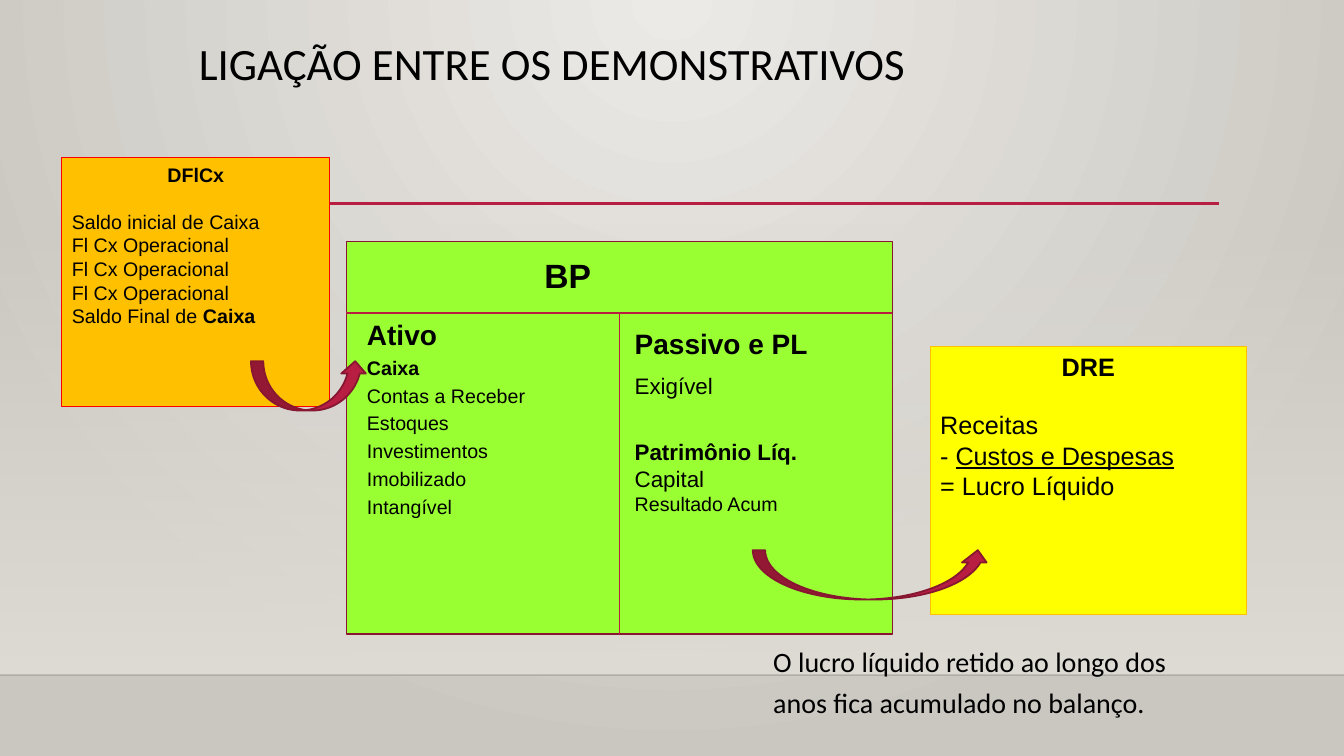
from pptx import Presentation
from pptx import util as u
from pptx.dml.color import RGBColor
from pptx.enum import shapes, text
from pptx.oxml import parse_xml
from pptx.oxml.ns import nsdecls

PX = 9525  # EMU per px, 96 px to the inch
CRIMSON = "B71E42"
BLACK = "000000"


def rgb(hex_colour):
    return RGBColor.from_string(hex_colour)


def set_alpha(colour_element, percent):
    colour_element.append(parse_xml(f'<a:alpha {nsdecls("a")} val="{percent * 1000}"/>'))


def line(words, size, bold=False, before=0, centre=False, tail="", tail_style=None):
    """One paragraph, optionally ending in a run with its own style."""
    return dict(words=words, size=size, bold=bold, before=before,
                centre=centre, tail=tail, tail_style=tail_style)


class SlideBuilder:
    def __init__(self, slide, font="Arial"):
        self.slide = slide
        self.font = font

    def background(self, inner, outer):
        fill = self.slide.background.fill
        fill.gradient()
        for stop, colour in zip(fill.gradient_stops, (inner, outer)):
            stop.color.rgb = rgb(colour)
        linear = self.slide.element.xpath("./p:cSld/p:bg//a:lin")[0]
        linear.getparent().replace(linear, parse_xml(
            f'<a:path {nsdecls("a")} path="circle">'
            '<a:fillToRect l="43000" t="0" r="43000" b="100000"/></a:path>'))

    def shape(self, kind, box, fill, outline=None, weight=1):
        shape = self.slide.shapes.add_shape(kind, *(v * PX for v in box))
        shape.shadow.inherit = False
        if fill:
            shape.fill.solid()
            shape.fill.fore_color.rgb = rgb(fill)
        if outline:
            shape.line.color.rgb = rgb(outline)
            shape.line.width = u.Pt(weight)
        else:
            shape.line.fill.background()
        return shape

    def rect(self, box, fill, outline=None, weight=1):
        return self.shape(shapes.MSO_SHAPE.RECTANGLE, box, fill, outline, weight)

    def fade(self, box, colour):
        area = self.rect(box, None)
        area.fill.gradient()
        area.fill.gradient_angle = 270
        for stop in area.fill.gradient_stops:
            stop.color.rgb = rgb(colour)
        set_alpha(area._element.xpath(".//a:gs/a:srgbClr")[0], 0)

    def rule(self, start, end, colour, weight, alpha=100):
        rule = self.slide.shapes.add_connector(
            shapes.MSO_CONNECTOR.STRAIGHT, *(v * PX for v in start + end))
        rule.line.color.rgb = rgb(colour)
        rule.line.width = u.Pt(weight)
        if alpha < 100:
            set_alpha(rule._element.xpath(".//a:ln//a:srgbClr")[0], alpha)
        rule._element.spPr.append(parse_xml(f'<a:effectLst {nsdecls("a")}/>'))
        return rule

    def arrow(self, box):
        self.shape(shapes.MSO_SHAPE.CURVED_UP_ARROW, box, CRIMSON, "871631", 1.25)

    def fill_text(self, shape, lines, font=None, spacing=None):
        frame = shape.text_frame
        frame.word_wrap = True
        frame.vertical_anchor = text.MSO_ANCHOR.TOP
        for i, item in enumerate(lines):
            paragraph = frame.add_paragraph() if i else frame.paragraphs[0]
            paragraph.text = item["words"]
            paragraph.alignment = (text.PP_ALIGN.CENTER if item["centre"]
                                   else text.PP_ALIGN.LEFT)
            if item["before"]:
                paragraph.space_before = u.Pt(item["before"])
            if spacing:
                paragraph.line_spacing = spacing
            if item["tail"]:
                paragraph.add_run().text = item["tail"]
            for run in paragraph.runs:
                run.font.name = font or self.font
                run.font.size = u.Pt(item["size"])
                run.font.bold = item["bold"]
                run.font.color.rgb = rgb(BLACK)
            if item["tail_style"] == "bold":
                paragraph.runs[-1].font.bold = True
            elif item["tail_style"] == "underline":
                paragraph.runs[-1].font.underline = True

    def label(self, box, lines, font=None, spacing=None):
        label = self.slide.shapes.add_textbox(*(v * PX for v in box))
        self.fill_text(label, lines, font, spacing)


def main():
    deck = Presentation()
    deck.slide_width, deck.slide_height = 1280 * PX, 720 * PX
    page = SlideBuilder(deck.slides.add_slide(deck.slide_layouts[6]))

    # Backdrop: wall, floor edge and title rule
    page.background("ECEAE7", "CAC7C1")
    page.fade((0, 212, 1280, 431), "DFDBD5")
    page.rule((0, 643), (1280, 643), "000001", 1, alpha=20)
    page.rule((153, 194), (1161, 194), CRIMSON, 2.5)

    # Title and closing remark
    page.label((180, 35, 869, 106), [line("LIGAÇÃO ENTRE OS DEMONSTRATIVOS", 32)],
               "Calibri", 0.9)
    page.label((727, 603, 406, 105),
               [line("O lucro líquido retido ao longo dos anos fica acumulado no balanço.", 20)],
               "Calibri", 1.2)

    # Balance sheet
    balance = page.rect((330, 230, 520, 374), "99FF33", "891731")
    page.label((340, 298, 224, 285), [line("Ativo", 20, True), line("Caixa", 14, True, 3)] + [
        line(asset, 14, before=3) for asset in
        ("Contas a Receber", "Estoques", "Investimentos", "Imobilizado", "Intangível")])
    page.label((595, 306, 260, 274), [
        line("Passivo e PL", 20, True),
        line("Exigível", 16, before=9),
        line("Patrimônio Líq.", 16, True, before=28),
        line("Capital", 16),
        line("Resultado Acum", 14)])

    # Income statement
    income = page.rect((886, 330, 301, 255), "FFFF00", "FFC000", 0.75)
    page.fill_text(income, [
        line("DRE", 18, True, centre=True),
        line("Receitas", 18, before=20),
        line("- ", 18, tail="Custos e Despesas", tail_style="underline"),
        line("= Lucro Líquido", 18)])

    # Balance sheet dividers and heading
    divider = page.rule((590, 298), (590, 604), CRIMSON, 1.25)
    divider.end_connect(balance, 2)
    page.rule((330, 298), (850, 298), CRIMSON, 1.25)
    page.label((509, 238, 269, 68), [line("BP", 24, True)])

    # Cash flow statement
    cash_flow = page.rect((59, 150, 255, 237), "FFC000", "FF0000", 0.75)
    page.fill_text(cash_flow, [
        line("DFlCx", 14, True, centre=True),
        line("Saldo inicial de Caixa", 14, before=17),
        *[line("Fl Cx Operacional", 14)] * 3,
        line("Saldo Final de ", 14, tail="Caixa", tail_style="bold")])

    # Links between the statements
    page.arrow((239, 344, 111, 47))
    page.arrow((717, 524, 226, 47))

    deck.save("out.pptx")


if __name__ == "__main__":
    main()
